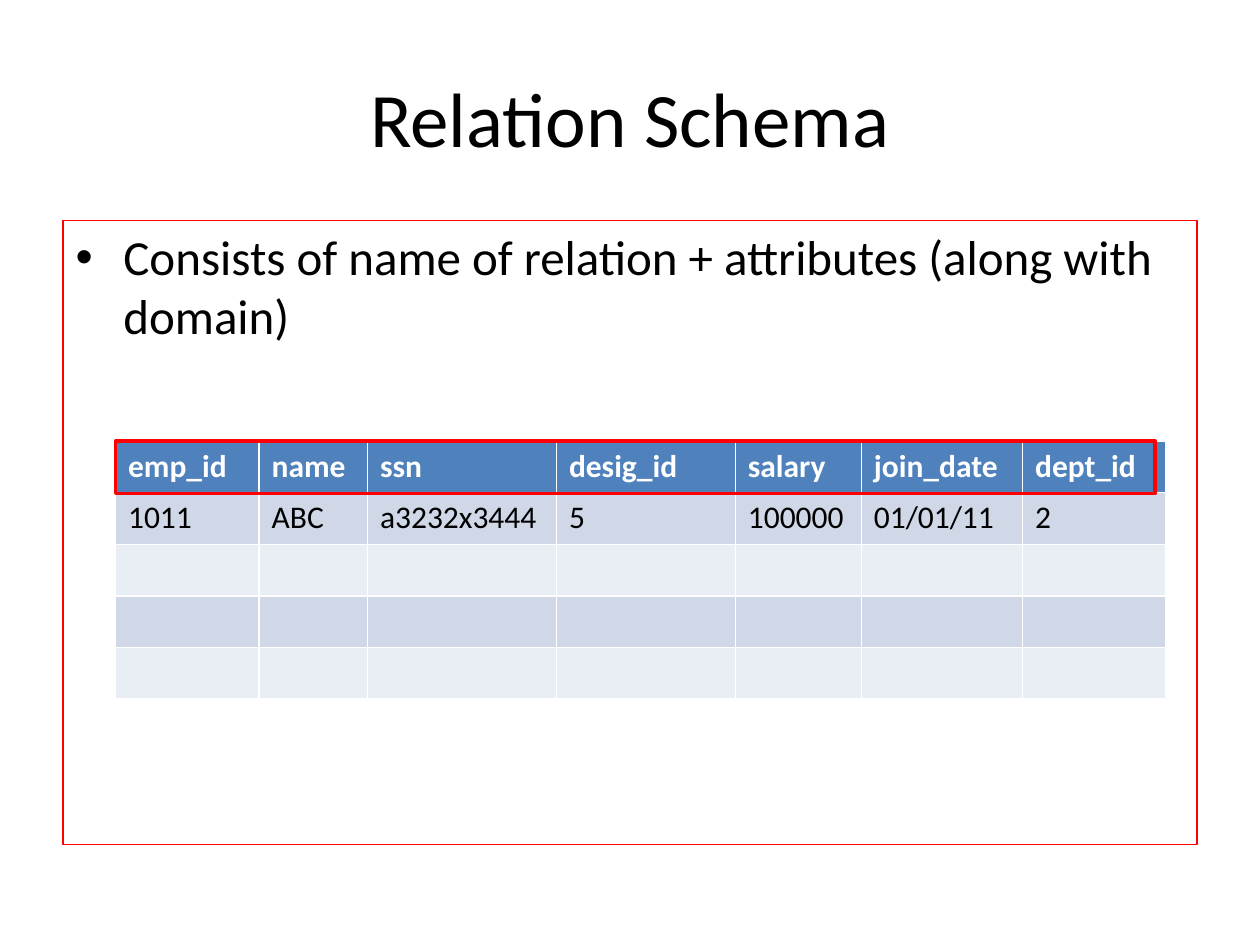
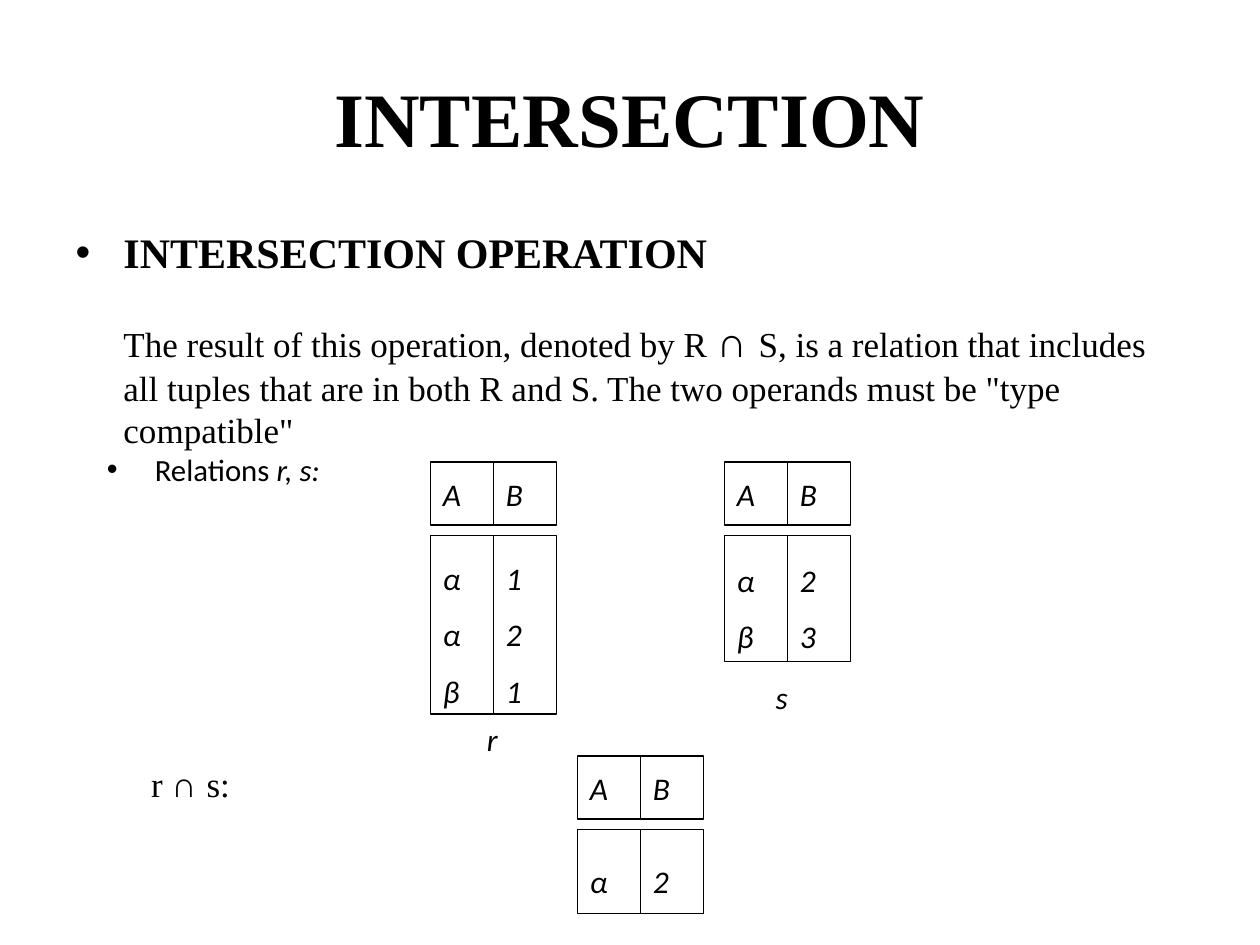
from dataclasses import dataclass

from lxml.etree import SubElement as Sub
from pptx import Presentation
from pptx.dml.color import RGBColor as Rgb
from pptx.enum.shapes import MSO_SHAPE as Form
from pptx.enum.text import MSO_ANCHOR as Anchor, MSO_AUTO_SIZE as Fit, PP_ALIGN as Align
from pptx.oxml.ns import qn
from pptx.util import Inches, Pt


@dataclass(frozen=True)
class Theme:
    ink: str = "000000"
    paper: str = "FFFFFF"
    mark: str = "FF0000"
    head: str = "4F81BD"
    bands: tuple = ("D0D8E8", "E9EDF4")
    sans: str = "Calibri"
    serif: str = "Times New Roman"
    sign: str = "Arial"
    title: float = 44
    lead: float = 28
    topic: float = 24
    text: float = 20
    cell: float = 18
    note: float = 17.6
    thin: float = 0.75
    thick: float = 2
    indent: float = 0.38


class Deck:
    """Places elements on a grid of 120 columns by 90 rows."""

    cols, rows = 120, 90

    def __init__(self, theme):
        self.theme = theme
        self.prs = Presentation()
        self.prs.slide_width, self.prs.slide_height = Inches(10), Inches(7.5)
        self.slide = None

    def area(self, x, y, w, h):
        dx = self.prs.slide_width / self.cols
        dy = self.prs.slide_height / self.rows
        return [round(n) for n in (x * dx, y * dy, w * dx, h * dy)]

    def move(self, shape, *spot):
        shape.left, shape.top, shape.width, shape.height = self.area(*spot)

    def font(self, font, size, face=None, color=None, bold=None, italic=None):
        font.size, font.name = Pt(size), face or self.theme.sans
        font.color.rgb = Rgb.from_string(color or self.theme.ink)
        font.bold, font.italic = bold, italic

    def bullet(self, para, char="•", left=None, hang=None):
        left = self.theme.indent if left is None else left
        hang = left if hang is None else hang
        props = para._p.get_or_add_pPr()
        props.set("marL", str(Inches(left)))
        props.set("indent", str(-Inches(hang)))
        if char:
            Sub(props, qn("a:buFont")).set("typeface", self.theme.sign)
            Sub(props, qn("a:buChar")).set("char", char)
        else:
            Sub(props, qn("a:buNone"))

    def runs(self, para, *parts):
        for text, look in parts:
            run = para.add_run()
            run.text = text
            self.font(run.font, **look)

    def page(self, title, face=None, bold=None):
        self.slide = self.prs.slides.add_slide(self.prs.slide_layouts[1])
        head = self.slide.shapes.title
        self.move(head, 6, 3.6, 108, 15)
        head.text_frame.text = title
        head.text_frame.vertical_anchor = Anchor.MIDDLE
        para = head.text_frame.paragraphs[0]
        para.alignment = Align.CENTER
        self.font(para.font, self.theme.title, face, bold=bold)

    def body(self, text, size, face=None, bold=None):
        box = self.slide.placeholders[1]
        self.move(box, 6, 21, 108, 59.4)
        box.text_frame.text = text
        box.text_frame.auto_size = Fit.NONE
        para = box.text_frame.paragraphs[0]
        self.bullet(para)
        para.space_before = Pt(0)
        self.font(para.font, size, face, bold=bold)
        return box

    def label(self, spot, wrap=True):
        frame = self.slide.shapes.add_textbox(*self.area(*spot)).text_frame
        frame.word_wrap = wrap
        return frame

    def line(self, shape, color, width):
        shape.line.color.rgb = Rgb.from_string(color)
        shape.line.width = Pt(width)

    def rect(self, spot, color, width, fill=None):
        box = self.slide.shapes.add_shape(Form.RECTANGLE, *self.area(*spot))
        box.shadow.inherit = False
        self.line(box, color, width)
        if fill:
            box.fill.solid()
            box.fill.fore_color.rgb = Rgb.from_string(fill)
        else:
            box.fill.background()
        return box

    def letters(self, frame, items, gap=None):
        frame.word_wrap = False
        frame.vertical_anchor = Anchor.MIDDLE
        frame.text = "\n".join(items)
        for para in frame.paragraphs:
            para.alignment = Align.LEFT
            para.line_spacing = gap
            self.font(para.font, self.theme.cell, italic=True)

    def table(self, x, y, widths, high, data):
        theme = self.theme
        spot = self.area(x, y, sum(widths) * 12, high * 12 * len(data))
        grid = self.slide.shapes.add_table(len(data), len(widths), *spot).table
        for col, width in zip(grid.columns, widths):
            col.width = Inches(width)
        for r, row in enumerate(data):
            grid.rows[r].height = Inches(high)
            fill = theme.bands[(r - 1) % 2] if r else theme.head
            for c, text in enumerate(row):
                cell = grid.cell(r, c)
                cell.text = text
                cell.fill.solid()
                cell.fill.fore_color.rgb = Rgb.from_string(fill)
                self.font(cell.text_frame.paragraphs[0].font, theme.cell,
                          color=theme.ink if r else theme.paper, bold=r == 0)

    def relation(self, x, y, high, columns):
        """Draws a heading cell and a value box for each column."""
        theme, side = self.theme, 6
        for i, (name, values) in enumerate(columns.items()):
            left = x + i * side
            parts = ((y, side, name, None), (y + side + 1, high, values, 1.5))
            for top, tall, items, gap in parts:
                box = self.rect((left, top, side, tall), theme.ink, theme.thin, theme.paper)
                self.letters(box.text_frame, items, gap)


def schema(deck):
    theme = deck.theme
    deck.page("Relation Schema")
    body = deck.body("Consists of name of relation + attributes (along with domain)", theme.lead)
    deck.line(body, theme.mark, theme.thin)

    # Employee table with its heading row outlined
    names = ["emp_id", "name", "ssn", "desig_id", "salary", "join_date", "dept_id"]
    first = ["1011", "ABC", "a3232x3444", "5", "100000", "01/01/11", "2"]
    empty = [[""] * len(names)] * 3
    deck.table(11, 42, [1.14, 0.86, 1.5, 1.42, 1, 1.28, 1.14], 0.41, [names, first, *empty])
    deck.rect((11, 42, 99, 5), theme.mark, theme.thick)


def meet(deck):
    theme = deck.theme
    deck.page("INTERSECTION", theme.serif, True)
    body = deck.body("INTERSECTION OPERATION", theme.topic, theme.serif, True)

    # Definition
    plain = dict(size=theme.text, face=theme.serif, bold=False)
    sign = dict(face=theme.sign, bold=True)
    para = body.text_frame.add_paragraph()
    deck.bullet(para, None, hang=0)
    para.space_before = Pt(22)
    deck.runs(para, ("The result of this operation, denoted by R ", plain),
              ("∩ ", dict(sign, size=theme.topic)),
              ("S, is a relation that includes all tuples that are in both R and S. "
               'The two operands must be "type compatible"', plain))

    # Captions of the operands and the result
    para = deck.label((9, 43, 92.3, 4.3)).paragraphs[0]
    deck.bullet(para)
    para.line_spacing = 0.8
    deck.runs(para, ("Relations ", dict(size=theme.note)),
              ("r, s:", dict(size=theme.note, italic=True)))
    para = deck.label((9, 72, 92.3, 4.3)).paragraphs[0]
    deck.bullet(para, None, left=0.35, hang=0)
    deck.runs(para, ("r ", plain), ("∩ ", dict(sign, size=theme.text)), ("s:", plain))

    # Relations r and s, then their intersection
    deck.relation(41, 44, 17, {"A": "ααβ", "B": "121"})
    deck.relation(69, 44, 12, {"A": "αβ", "B": "23"})
    deck.relation(55, 72, 8, {"A": "α", "B": "2"})
    for name, x, y in (("r", 45.2, 68), ("s", 72.7, 64)):
        deck.letters(deck.label((x, y, 3.6, 4.8), False), name)


def main():
    deck = Deck(Theme())
    schema(deck)
    meet(deck)
    deck.prs.save("out.pptx")


if __name__ == "__main__":
    main()
